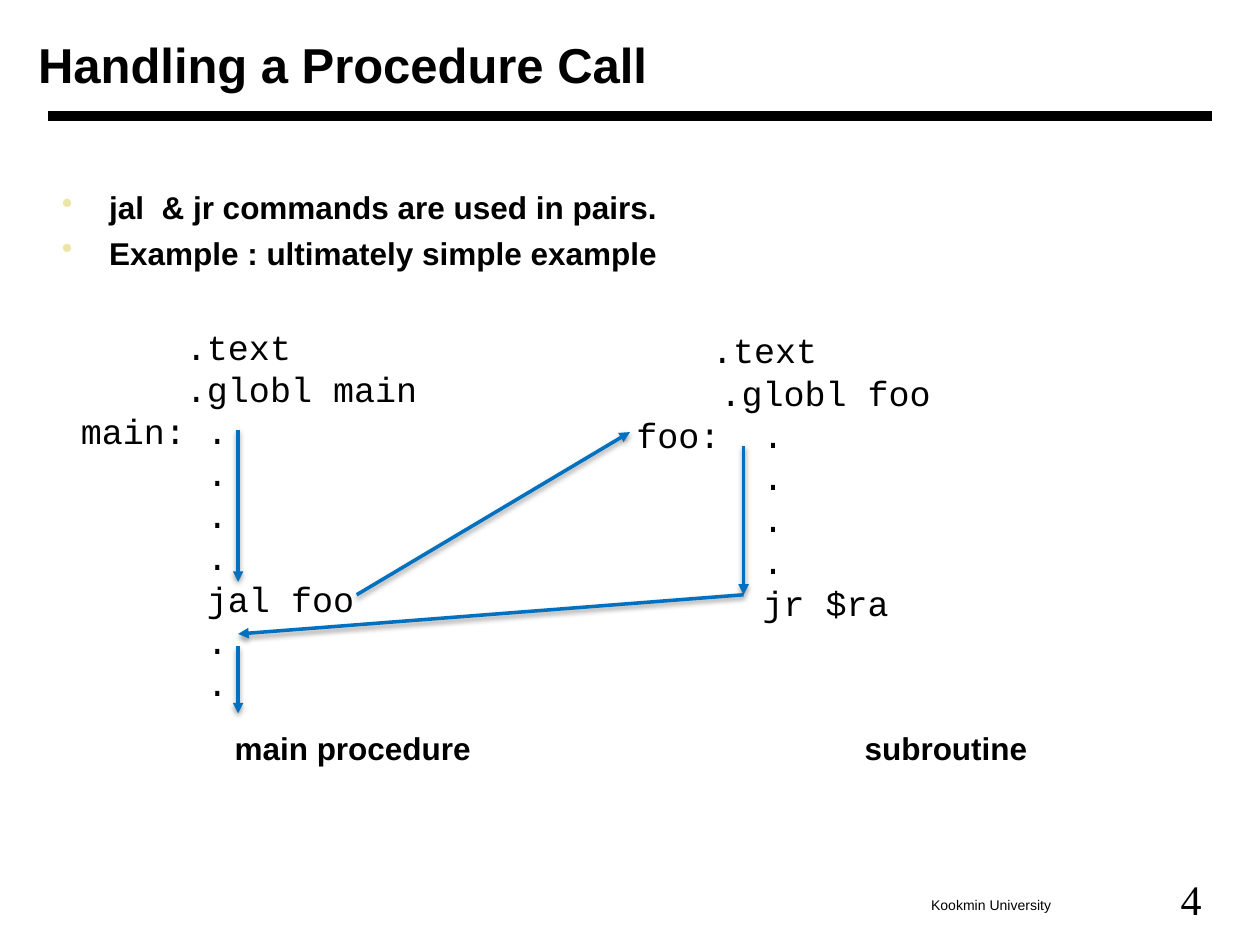
"""Build the slide 'Handling a Procedure Call'."""
from lxml import etree
from pptx import Presentation
from pptx import util as u
from pptx.dml.color import RGBColor
from pptx.enum import shapes, text
from pptx.oxml.ns import qn

COLORS = {"text": "000000", "arrow": "0070C0", "bullet": "EBE6A5"}
SANS, MONO, SERIF = "Arial", "Courier New", "Times New Roman"

BULLETS = ["jal  & jr commands are used in pairs.",
           "Example : ultimately simple example"]
MAIN = ["     .text", "     .globl main", "main: .", "      .", "      .",
        "      .", "      jal foo", "      .", "      ."]
FOO = [".text", "    .globl foo", "foo:  .", "      .", "      .",
       "      .", "      jr $ra"]
FOO_INDENT = "   "
LABELS = [
    ("Handling a Procedure Call", (0.64, 0.43, 21.16, 1.7), SANS, 28, True),
    ("main procedure", (4.6, 14.58, 6, 0.98), SANS, 18, True),
    ("subroutine", (17.3, 14.58, 5, 0.98), SANS, 18, True),
    ("Kookmin University", (18.64, 17.96, 2.8, 0.56), SANS, 8, False),
    ("4", (23.67, 17.53, 0.8, 1.17), SERIF, 24, False),
]
MAIN_X, FOO_X, RETURN_Y = 4.8, 14.99, 11.99
ARROWS = [
    (7.19, RETURN_Y, 12.7, 8.71),
    (MAIN_X, 8.66, MAIN_X, 11.73),
    (FOO_X, 8.99, FOO_X, RETURN_Y),
    (FOO_X, RETURN_Y, MAIN_X, 12.78),
    (MAIN_X, 13.03, MAIN_X, 14.38),
]


def style(font, name, size, bold=False):
    font.name, font.size, font.bold = name, u.Pt(size), bold
    font.color.rgb = RGBColor.from_string(COLORS["text"])


def add_text(s, lines, box, name, size, bold=False):
    tf = s.shapes.add_textbox(*map(u.Cm, box)).text_frame
    tf.word_wrap = True
    tf.margin_left = tf.margin_right = u.Cm(0.13)
    tf.margin_top = tf.margin_bottom = u.Cm(0.13)
    tf.text = "\n".join(lines)
    for p in tf.paragraphs:
        for r in p.runs:
            style(r.font, name, size, bold)
    return tf


def add_bullet(p):
    pPr = p._p.get_or_add_pPr()
    pPr.set("marL", str(u.Cm(0.95)))
    pPr.set("indent", str(-u.Cm(0.95)))
    color = etree.SubElement(pPr, qn("a:buClr"))
    etree.SubElement(color, qn("a:srgbClr"), val=COLORS["bullet"])
    etree.SubElement(pPr, qn("a:buChar"), char="•")


def add_line(s, ends, color, width):
    c = s.shapes.add_connector(shapes.MSO_CONNECTOR.STRAIGHT, *map(u.Cm, ends))
    c.line.color.rgb = RGBColor.from_string(COLORS[color])
    c.line.width = u.Pt(width)
    effects = etree.SubElement(c._element.spPr, qn("a:effectLst"))
    return c, effects


def add_arrow(s, ends):
    c, effects = add_line(s, ends, "arrow", 2)
    etree.SubElement(c.line._get_or_add_ln(), qn("a:tailEnd"), type="triangle")
    shadow = etree.SubElement(effects, qn("a:outerShdw"), blurRad=str(u.Pt(3)),
                              dist=str(u.Pt(1.6)), dir="5400000", rotWithShape="0")
    color = etree.SubElement(shadow, qn("a:srgbClr"), val=COLORS["text"])
    etree.SubElement(color, qn("a:alpha"), val="38000")


def main():
    prs = Presentation()
    prs.slide_width, prs.slide_height = u.Cm(25.4), u.Cm(19.05)
    s = prs.slides.add_slide(prs.slide_layouts[6])

    add_line(s, (0.97, 2.34, 24.43, 2.34), "text", 6)
    for label, box, name, size, bold in LABELS:
        tf = add_text(s, [label], box, name, size, bold)
        tf.vertical_anchor = text.MSO_ANCHOR.MIDDLE

    tf = add_text(s, BULLETS, (1.12, 3.66, 22.33, 2.2), SANS, 18, True)
    for i, p in enumerate(tf.paragraphs):
        if i:
            p.space_before = u.Pt(4.5)
        add_bullet(p)

    add_text(s, MAIN, (1.5, 6.43, 8.61, 7.57), MONO, 20)
    tf = add_text(s, FOO, (12.7, 6.35, 8.61, 6.07), MONO, 20)
    p = tf.paragraphs[0]
    p.runs[0].text = FOO_INDENT
    style(p.runs[0].font, MONO, 24)
    r = p.add_run()
    r.text = FOO[0]
    style(r.font, MONO, 20)

    for ends in ARROWS:
        add_arrow(s, ends)
    prs.save("out.pptx")


if __name__ == "__main__":
    main()
